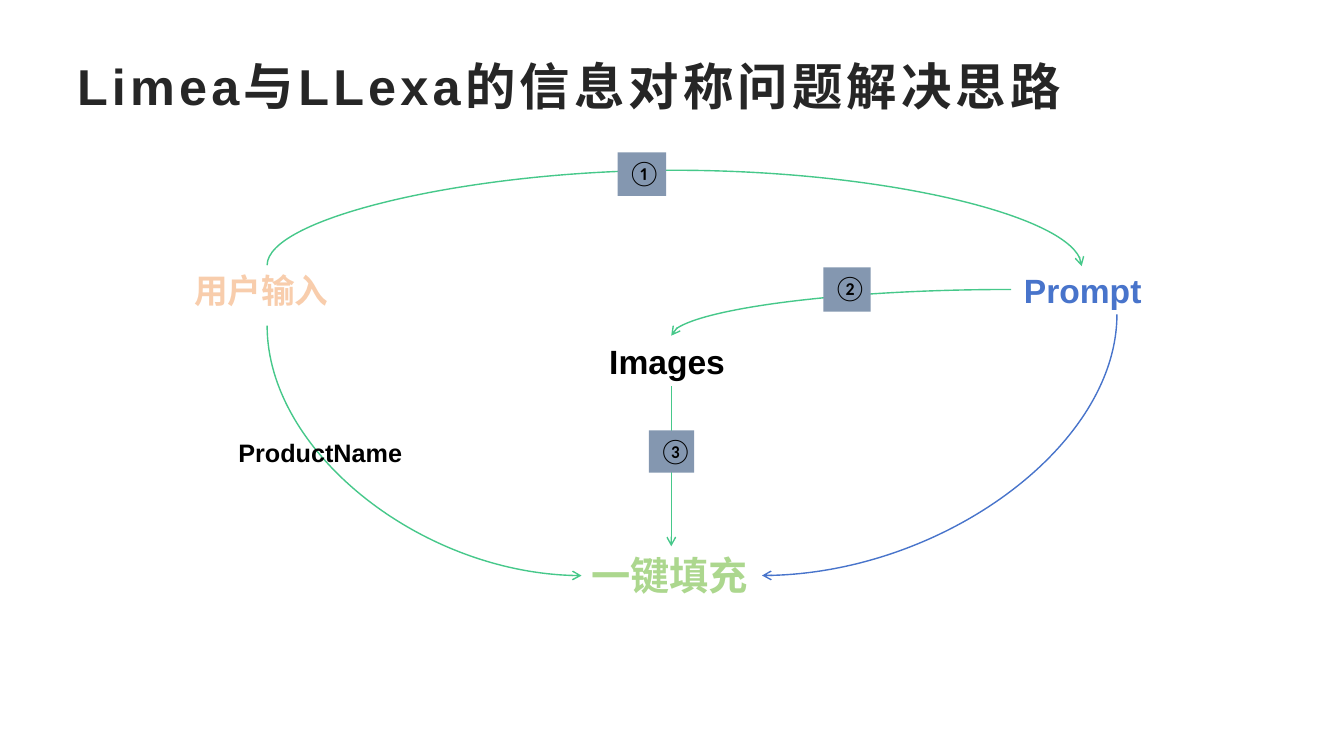
from lxml import etree
from pptx import Presentation
from pptx.dml.color import RGBColor
from pptx.enum import shapes, text
from pptx.oxml.ns import qn
from pptx.util import Pt

# Content: words, (left, top, width, height) in points, size, colour
TITLE = ("Limea与LLexa的信息对称问题解决思路", (48, 33.2, 864, 55.5), 36, "262626")
LABELS = [
    ("用户输入", (131.6, 189.4, 118, 43.2), 24, "F8CDAC"),
    ("Prompt", (724.3, 189.4, 100, 34.6), 24, "4874CB"),
    ("Images", (428.1, 239.8, 103, 36), 24, "000000"),
    ("一键填充", (415.4, 390.2, 128.9, 41), 28, "ACD78E"),
]
PRODUCT = ("ProductName", (163.2, 308.9, 135.4, 28.8), 18, "000000")
BADGES = [
    ("①", (441.2, 108.9, 34.6, 31)),
    ("②", (588.2, 191, 33.8, 31.7)),
    ("③", (463.5, 307.4, 32.4, 30.2)),
]
GREEN, BLUE = "46C88A", "4874CB"
# Arrows: begin, end, kind, colour
ARROWS = [
    ((797.8, 224.6), (544.3, 411.1), "down", BLUE),
    ((190.8, 232.6), (415.4, 411.1), "down", GREEN),
    ((190.8, 189.4), (772.6, 190.1), "arch", GREEN),
    ((722.2, 206.8), (479.5, 239.8), "side", GREEN),
    ((479.5, 275.8), (479.5, 390.2), "straight", GREEN),
]
ARCH_RISE = 67


def colour(value):
    return RGBColor.from_string(value)


def write(shape, words, size, value, font, bold):
    frame = shape.text_frame
    frame.word_wrap = True
    frame.vertical_anchor = text.MSO_ANCHOR.TOP
    paragraph = frame.paragraphs[0]
    paragraph.text = words
    paragraph.alignment = text.PP_ALIGN.LEFT
    paragraph.font.name = font
    paragraph.font.size = Pt(size)
    paragraph.font.bold = bold
    paragraph.font.color.rgb = colour(value)
    return frame


def add_label(slide, words, box, size, value):
    shape = slide.shapes.add_textbox(*map(Pt, box))
    return write(shape, words, size, value, "Arial", True)


def add_badge(slide, words, box):
    shape = slide.shapes.add_shape(shapes.MSO_SHAPE.RECTANGLE, *map(Pt, box))
    shape.shadow.inherit = False
    shape.fill.solid()
    shape.fill.fore_color.rgb = colour("8497B0")
    shape.line.fill.background()
    write(shape, words, 18, "000000", "Calibri", False)


def start_vertically(connector, begin, end):
    """Turn the frame a quarter so that the curve leaves its start vertically."""
    (x1, y1), (x2, y2) = begin, end
    width, height = abs(y2 - y1), abs(x2 - x1)
    connector.left = Pt((x1 + x2 - width) / 2)
    connector.top = Pt((y1 + y2 - height) / 2)
    connector.width, connector.height = Pt(width), Pt(height)
    frame = connector._element.spPr.find(qn("a:xfrm"))
    frame.attrib.clear()
    frame.set("rot", str(90 * 60000))
    if x2 > x1:
        frame.set("flipV", "1")


def add_arrow(slide, begin, end, kind, value):
    kinds = shapes.MSO_CONNECTOR
    style = kinds.STRAIGHT if kind == "straight" else kinds.CURVE
    connector = slide.shapes.add_connector(style, *map(Pt, begin + end))
    connector.line.color.rgb = colour(value)
    connector.line.width = Pt(1)
    properties = connector._element.spPr
    geometry = properties.find(qn("a:prstGeom"))
    if kind in ("down", "side"):
        geometry.set("prst", "curvedConnector2")
    if kind in ("down", "arch"):
        start_vertically(connector, begin, end)
    if kind == "arch":
        ratio = round(-ARCH_RISE / (end[1] - begin[1]) * 100000)
        guide = etree.SubElement(geometry.find(qn("a:avLst")), qn("a:gd"))
        guide.set("name", "adj1")
        guide.set("fmla", f"val {ratio}")
    tail = etree.SubElement(properties.find(qn("a:ln")), qn("a:tailEnd"))
    tail.set("type", "arrow")
    etree.SubElement(properties, qn("a:effectLst"))


def main():
    presentation = Presentation()
    presentation.slide_width, presentation.slide_height = Pt(960), Pt(540)
    slide = presentation.slides.add_slide(presentation.slide_layouts[6])

    # Title, with widened letter spacing
    frame = add_label(slide, *TITLE)
    frame.vertical_anchor = text.MSO_ANCHOR.MIDDLE
    frame.paragraphs[0].runs[0]._r.get_or_add_rPr().set("spc", "300")

    # Flow diagram
    for label in LABELS:
        add_label(slide, *label)
    for arrow in ARROWS:
        add_arrow(slide, *arrow)
    for badge in BADGES:
        add_badge(slide, *badge)
    add_label(slide, *PRODUCT)

    presentation.save("out.pptx")


if __name__ == "__main__":
    main()
